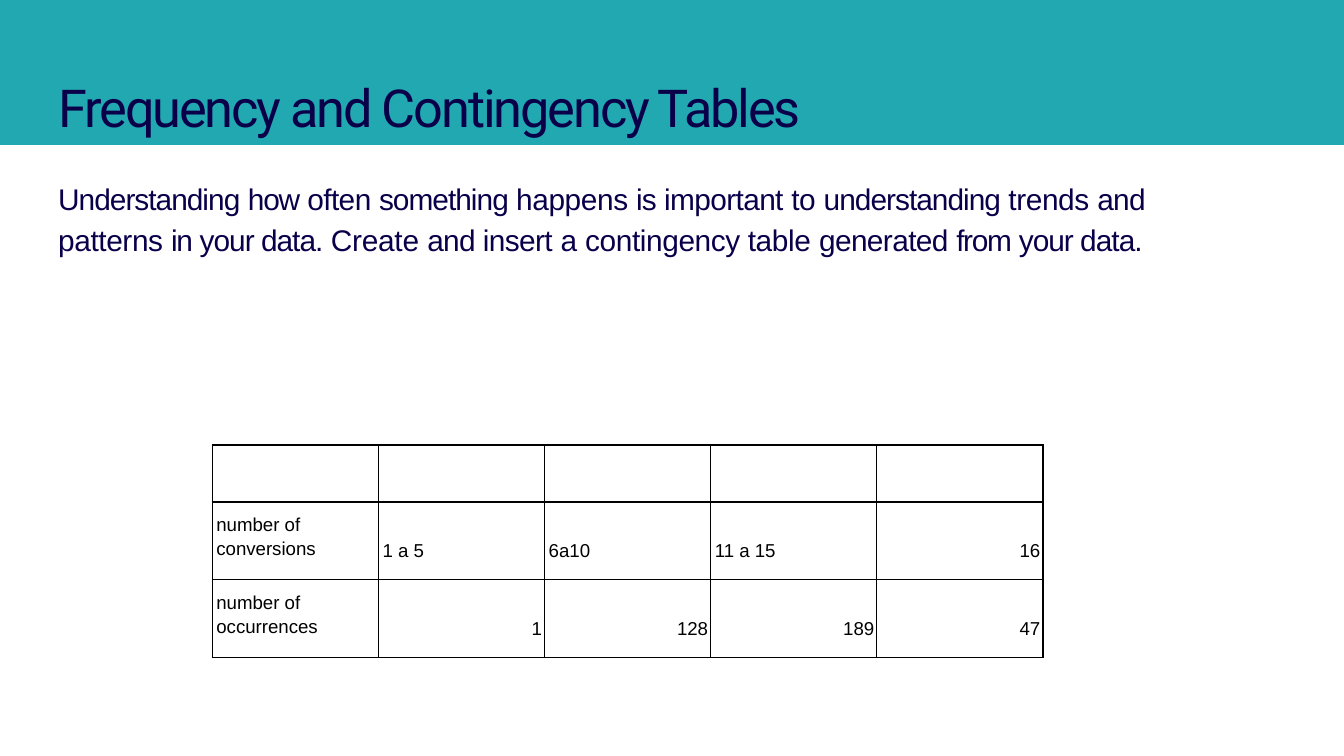
from dataclasses import dataclass

from lxml.etree import SubElement
from pptx import Presentation
from pptx.dml.color import RGBColor
from pptx.enum.shapes import MSO_SHAPE
from pptx.enum.text import PP_ALIGN
from pptx.oxml.ns import qn
from pptx.util import Cm, Pt


@dataclass(frozen=True)
class Theme:
    band: RGBColor = RGBColor(0x21, 0xA8, 0xB0)
    ink: RGBColor = RGBColor(0x0A, 0x00, 0x4A)
    black: RGBColor = RGBColor(0, 0, 0)
    heading_font: str = "Roboto"
    body_font: str = "Arial"
    title_size: Pt = Pt(28)
    body_size: Pt = Pt(16)
    cell_size: Pt = Pt(10)
    border: Pt = Pt(0.75)


theme = Theme()


def add_text(s, left, top, width, height, runs, font, size, right_inset=0):
    """Add a one-paragraph text box; runs are (text, letter spacing in points)."""
    tf = s.shapes.add_textbox(Cm(left), Cm(top), Cm(width), Cm(height)).text_frame
    tf.word_wrap = True
    tf.margin_left = tf.margin_top = Cm(0.03)
    tf.margin_right, tf.margin_bottom = Cm(right_inset), 0
    p = tf.paragraphs[0]
    p.space_before = Pt(1)
    p.font.name, p.font.size, p.font.color.rgb = font, size, theme.ink
    for text, spacing in runs:
        r = p.add_run()
        r.text = text
        r.font.name, r.font.size, r.font.color.rgb = font, size, theme.ink
        r._r.get_or_add_rPr().set("spc", str(round(spacing * 100)))
    return p


def set_borders(cell):
    """Draw a thin black line on all four sides of a cell."""
    tcPr = cell._tc.get_or_add_tcPr()
    for i, side in enumerate(("a:lnL", "a:lnR", "a:lnT", "a:lnB")):
        ln = SubElement(tcPr, qn(side), w=str(theme.border))
        tcPr.insert(i, ln)
        fill = SubElement(ln, qn("a:solidFill"))
        SubElement(fill, qn("a:srgbClr"), val=str(theme.black))


prs = Presentation()
prs.slide_width, prs.slide_height = Cm(25.4), Cm(14.29)
s = prs.slides.add_slide(prs.slide_layouts[6])

# Header band
sp = s.shapes.add_shape(MSO_SHAPE.RECTANGLE, 0, 0, prs.slide_width, Cm(2.74))
sp.shadow.inherit = False
sp.fill.solid()
sp.fill.fore_color.rgb = theme.band
sp.line.fill.background()

# Title
add_text(s, 1.07, 1.4, 16.18, 1.24, [("Frequency and Contingency Tables", -1.1)],
         theme.heading_font, theme.title_size)

# Introduction, with its fine letter spacing
intro = [
    ("Understanding ", -0.5), ("how ", -0.6), ("often ", -0.3),
    ("something ", -0.5), ("happens ", -0.2), ("is ", -0.5),
    ("important ", -0.3), ("to ", -0.2), ("understanding ", -0.5),
    ("trends ", -0.2), ("and ", -0.3), ("patterns ", -0.2), ("in ", -0.8),
    ("your data. ", -0.5), ("Create ", -0.1), ("and insert ", -0.3),
    ("a ", -0.1), ("contingency table ", -0.2), ("generated ", -0.3),
    ("from ", -0.7), ("your data.", -0.5),
]
p = add_text(s, 1.07, 3.28, 22.94, 1.57, intro, theme.body_font,
             theme.body_size, right_inset=1.5)
p.line_spacing = 1.15

# Contingency table
rows = [
    ["", "", "", "", ""],
    ["number of conversions", "1 a 5", "6a10", "11 a 15", "16"],
    ["number of occurrences", "1", "128", "189", "47"],
]
row_heights = [1.08, 1.47, 1.47]
col_width = 3.14
table = s.shapes.add_table(
    len(rows), len(rows[0]), Cm(4.01), Cm(8.41),
    Cm(col_width * len(rows[0])), Cm(sum(row_heights))).table
table.first_row = table.horz_banding = False
for column in table.columns:
    column.width = Cm(col_width)

for i, row in enumerate(rows):
    table.rows[i].height = Cm(row_heights[i])
    for j, text in enumerate(row):
        cell = table.cell(i, j)
        cell.fill.background()
        set_borders(cell)
        cell.margin_left, cell.margin_right = Cm(0.08), Cm(0.05)
        cell.margin_bottom = 0
        # Labels wrap onto two lines; values sit level with the second one
        cell.margin_top = Cm(0.2 if j == 0 or not text else 0.73)
        p = cell.text_frame.paragraphs[0]
        p.text = text
        p.font.name, p.font.size = theme.body_font, theme.cell_size
        p.font.color.rgb = theme.black
        if j == 0:
            p.line_spacing = 1.12
        elif text.isdigit():
            p.alignment = PP_ALIGN.RIGHT

prs.save("out.pptx")
